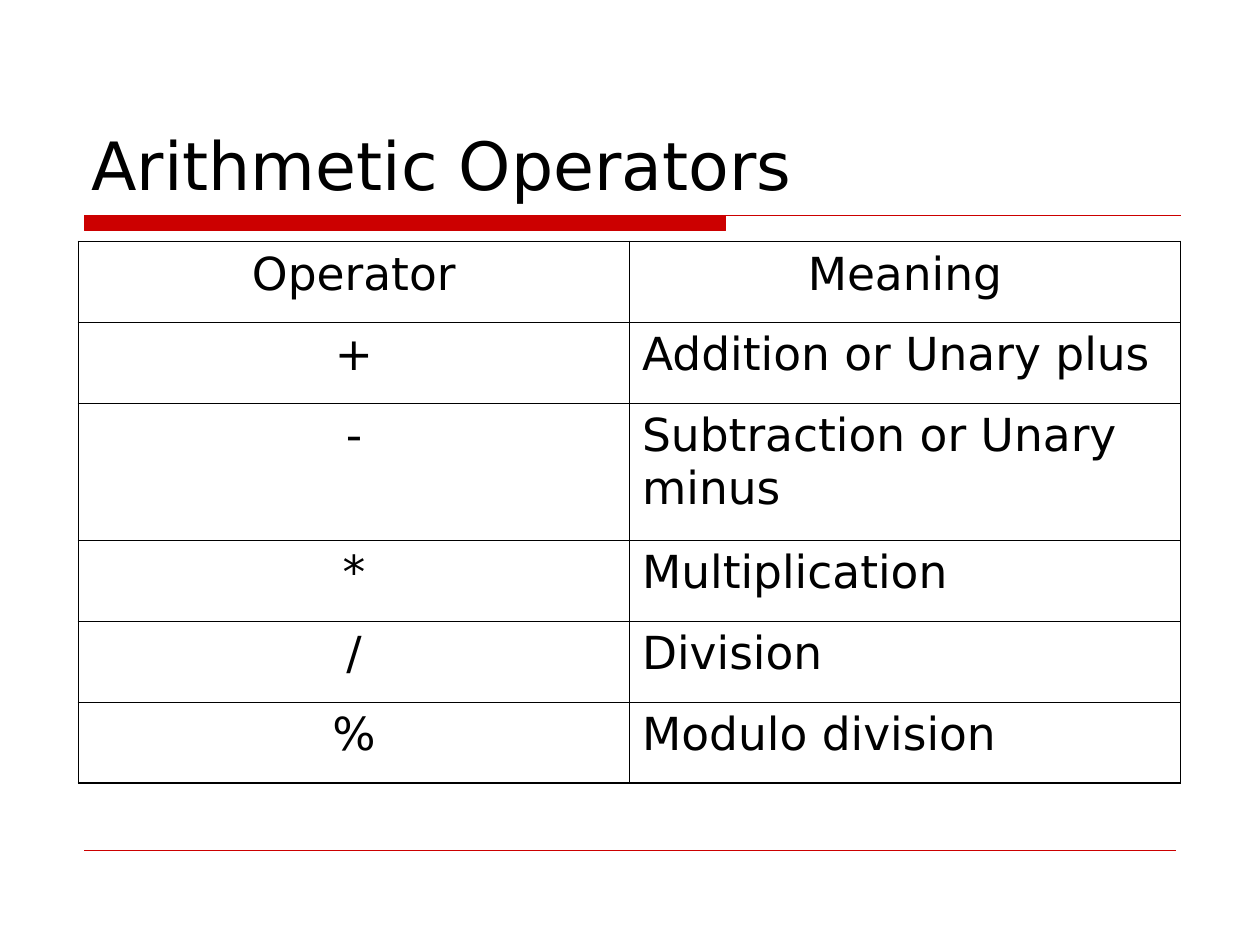
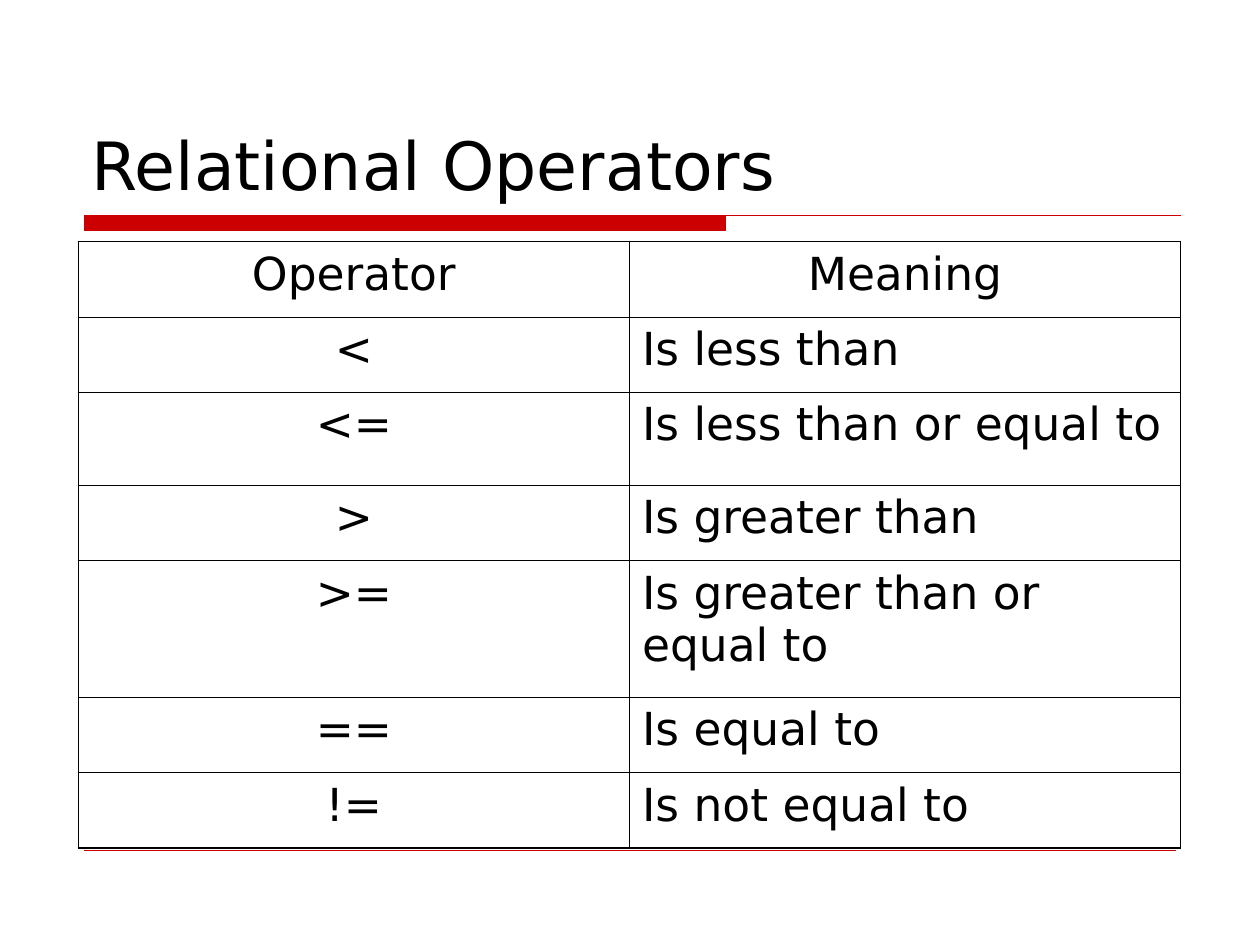
from dataclasses import dataclass

import lxml.etree
import pptx
import pptx.dml.color
import pptx.enum.shapes
import pptx.enum.text
import pptx.oxml.ns
import pptx.slide
import pptx.table
import pptx.text.text
import pptx.util
from pptx.util import Cm

# Shared look
RED = pptx.dml.color.RGBColor(0xCC, 0x00, 0x00)
BLACK = pptx.dml.color.RGBColor(0x00, 0x00, 0x00)
FONT = "DejaVu Sans"
TITLE_SIZE = pptx.util.Pt(38)
TABLE_SIZE = pptx.util.Pt(26)
SPACE_BEFORE = pptx.util.Pt(6.5)
OUTER_BORDER = pptx.util.Pt(1.08)
INNER_BORDER = pptx.util.Pt(0.45)

# Shared positions
RULE_LEFT = Cm(1.7)
BAND_TOP, BAND_BOTTOM, BAND_RIGHT = Cm(4.34), Cm(4.65), Cm(14.63)
TITLE_RULE_RIGHT = Cm(23.8)
FOOTER_TOP, FOOTER_RIGHT = Cm(17.15), Cm(23.7)
TABLE_LEFT, TABLE_TOP, COLUMN_WIDTH = Cm(1.58), Cm(4.87), Cm(11.11)
HEADINGS = ("Operator", "Meaning")


@dataclass(frozen=True)
class Operator:
    symbol: str
    meaning: str
    height: float | None = None  # in cm, where it differs from the usual row


@dataclass(frozen=True)
class OperatorGroup:
    title: str
    row_height: float
    operators: tuple[Operator, ...]


GROUPS = (
    OperatorGroup("Arithmetic Operators", 1.63, (
        Operator("+", "Addition or Unary plus"),
        Operator("-", "Subtraction or Unary minus", 2.76),
        Operator("*", "Multiplication"),
        Operator("/", "Division"),
        Operator("%", "Modulo division"),
    )),
    OperatorGroup("Relational Operators", 1.52, (
        Operator("<", "Is less than"),
        Operator("<=", "Is less than or equal to", 1.87),
        Operator(">", "Is greater than"),
        Operator(">=", "Is greater than or equal to", 2.76),
        Operator("==", "Is equal to"),
        Operator("!=", "Is not equal to"),
    )),
)


def add_text(paragraph: pptx.text.text._Paragraph, text: str, size: int,
             alignment: pptx.enum.text.PP_ALIGN) -> None:
    paragraph.alignment = alignment
    run = paragraph.add_run()
    run.text = text
    run.font.name = FONT
    run.font.size = size
    run.font.color.rgb = BLACK


def add_rules(slide: pptx.slide.Slide) -> None:
    # Thick band that runs on as a thin line under the title
    builder = slide.shapes.build_freeform(RULE_LEFT, BAND_TOP)
    builder.add_line_segments([(BAND_RIGHT, BAND_TOP), (BAND_RIGHT, BAND_BOTTOM),
                               (RULE_LEFT, BAND_BOTTOM)], close=True)
    builder.move_to(RULE_LEFT, BAND_TOP)
    builder.add_line_segments([(TITLE_RULE_RIGHT, BAND_TOP)], close=False)
    title_rule = builder.convert_to_shape()
    title_rule.shadow.inherit = False
    title_rule.fill.solid()
    title_rule.fill.fore_color.rgb = RED
    title_rule.line.color.rgb = RED
    title_rule.line.width = pptx.util.Pt(0.75)

    # Hairline at the foot
    footer_rule = slide.shapes.add_connector(
        pptx.enum.shapes.MSO_CONNECTOR.STRAIGHT,
        RULE_LEFT, FOOTER_TOP, FOOTER_RIGHT, FOOTER_TOP)
    footer_rule.line.color.rgb = RED
    footer_rule.line.width = pptx.util.Pt(0.25)
    lxml.etree.SubElement(footer_rule._element.spPr, pptx.oxml.ns.qn("a:effectLst"))


def add_title(slide: pptx.slide.Slide, text: str) -> None:
    title = slide.shapes.title
    title.left, title.top = Cm(1.59), Cm(0.85)
    title.width, title.height = Cm(22.22), Cm(3.38)
    frame = title.text_frame
    frame.vertical_anchor = pptx.enum.text.MSO_ANCHOR.BOTTOM
    frame.auto_size = pptx.enum.text.MSO_AUTO_SIZE.NONE
    add_text(frame.paragraphs[0], text, TITLE_SIZE, pptx.enum.text.PP_ALIGN.LEFT)


def add_borders(cell: pptx.table._Cell, outer_sides: dict[str, bool]) -> None:
    properties = cell._tc.get_or_add_tcPr()
    for side, is_outer in outer_sides.items():
        width = OUTER_BORDER if is_outer else INNER_BORDER
        border = lxml.etree.SubElement(
            properties, pptx.oxml.ns.qn(f"a:ln{side}"), w=str(int(width)))
        fill = lxml.etree.SubElement(border, pptx.oxml.ns.qn("a:solidFill"))
        lxml.etree.SubElement(fill, pptx.oxml.ns.qn("a:srgbClr"), val=str(BLACK))


def add_operator_table(slide: pptx.slide.Slide, group: OperatorGroup) -> None:
    rows = (Operator(*HEADINGS), *group.operators)
    heights = [Cm(row.height or group.row_height) for row in rows]
    table = slide.shapes.add_table(
        len(rows), len(HEADINGS), TABLE_LEFT, TABLE_TOP,
        COLUMN_WIDTH * len(HEADINGS), sum(heights)).table
    table.first_row = False
    table.horz_banding = False
    for column in table.columns:
        column.width = COLUMN_WIDTH

    last_row, last_column = len(rows) - 1, len(HEADINGS) - 1
    for r, row in enumerate(rows):
        table.rows[r].height = heights[r]
        for c, text in enumerate((row.symbol, row.meaning)):
            cell = table.cell(r, c)
            add_borders(cell, {"L": c == 0, "R": c == last_column,
                               "T": r == 0, "B": r == last_row})
            cell.fill.background()
            centred = r == 0 or c == 0
            paragraph = cell.text_frame.paragraphs[0]
            paragraph.space_before = SPACE_BEFORE
            add_text(paragraph, text, TABLE_SIZE,
                     pptx.enum.text.PP_ALIGN.CENTER if centred
                     else pptx.enum.text.PP_ALIGN.LEFT)


def main() -> None:
    presentation = pptx.Presentation()
    presentation.slide_width, presentation.slide_height = Cm(25.4), Cm(19.05)
    title_only = presentation.slide_layouts.get_by_name("Title Only")
    for group in GROUPS:
        slide = presentation.slides.add_slide(title_only)
        add_rules(slide)
        add_title(slide, group.title)
        add_operator_table(slide, group)
    presentation.save("out.pptx")


if __name__ == "__main__":
    main()
